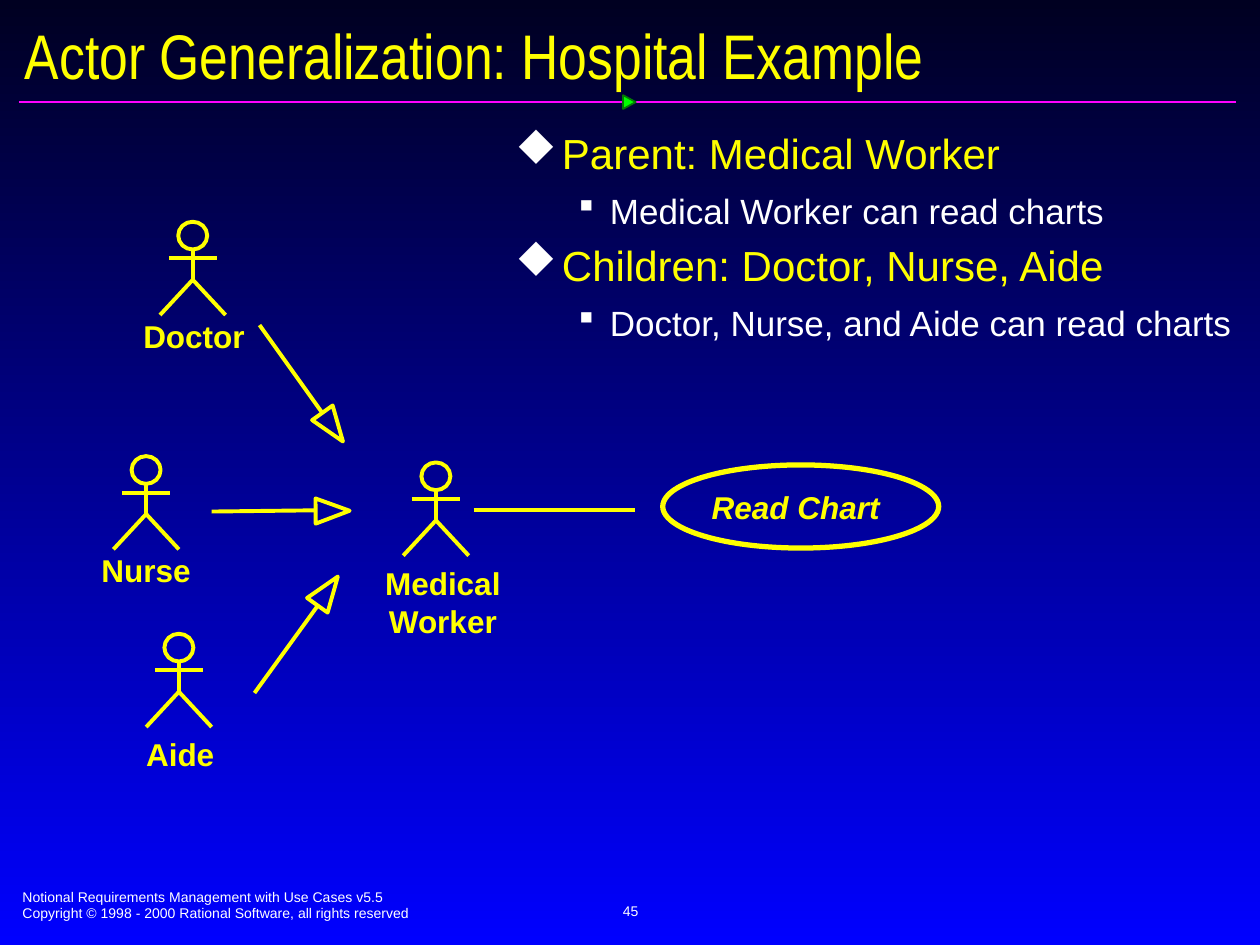
import math
from lxml import etree
from pptx import Presentation
from pptx.dml.color import RGBColor
from pptx.enum.shapes import MSO_CONNECTOR, MSO_SHAPE
from pptx.enum.text import MSO_ANCHOR, PP_ALIGN
from pptx.oxml.ns import qn
from pptx.util import Inches, Pt

STRAIGHT = MSO_CONNECTOR.STRAIGHT
TRIANGLE, ELLIPSE = MSO_SHAPE.ISOSCELES_TRIANGLE, MSO_SHAPE.OVAL
TOP, MIDDLE = MSO_ANCHOR.TOP, MSO_ANCHOR.MIDDLE
LEFT, CENTER = PP_ALIGN.LEFT, PP_ALIGN.CENTER

COLORS = {
    "night": "000021",
    "blue": "0000FF",
    "yellow": "FFFF00",
    "white": "FFFFFF",
    "magenta": "FF01FF",
    "green": "00FF00",
    "dark_green": "037C03",
}


def rgb(name):
    return RGBColor.from_string(COLORS[name])


class Diagram:
    font = "Arial"
    bullet_font = "Wingdings"
    color = "yellow"
    stroke = 2.25

    def __init__(self, slide):
        self.s = slide

    def background(self, start, end):
        fill = self.s.background.fill
        fill.gradient()
        fill.gradient_angle = 270
        for stop, position, name in zip(fill.gradient_stops, (0, 1), (start, end)):
            stop.position = position
            stop.color.rgb = rgb(name)

    def frame(self, x, y, w, h, inset=(0.12, 0.06), anchor=TOP, wrap=True):
        tf = self.s.shapes.add_textbox(Inches(x), Inches(y), Inches(w), Inches(h)).text_frame
        tf.margin_left = tf.margin_right = Inches(inset[0])
        tf.margin_top = tf.margin_bottom = Inches(inset[1])
        tf.vertical_anchor = anchor
        tf.word_wrap = wrap
        return tf

    def run(self, p, text, size, color=None, font=None, bold=False, italic=False):
        r = p.add_run()
        r.text = text
        r.font.size = Pt(size)
        r.font.name = font or self.font
        r.font.bold = bold
        r.font.italic = italic
        r.font.color.rgb = rgb(color or self.color)

    def text(self, box, lines, size, color=None, font=None, align=LEFT, anchor=TOP):
        tf = self.frame(*box, inset=(0.1, 0.05), anchor=anchor)
        for i, line in enumerate(lines):
            p = tf.add_paragraph() if i else tf.paragraphs[0]
            p.alignment = align
            self.run(p, line, size, color, font)

    def label(self, box, text, italic=False, wrap=False):
        p = self.frame(*box, inset=(0, 0.06), wrap=wrap).paragraphs[0]
        p.alignment = CENTER
        self.run(p, text, 18, bold=True, italic=italic)

    def bullets(self, box, items):
        styles = [
            (0.37, 0.37, 0.8, "u", 24, "yellow"),
            (0.75, 0.25, 0.87, "§", 20, "white"),
        ]
        tf = self.frame(*box)
        for i, (level, text) in enumerate(items):
            margin, hanging, spacing, mark, size, color = styles[level]
            p = tf.add_paragraph() if i else tf.paragraphs[0]
            p.level = level
            pPr = p._p.get_or_add_pPr()
            pPr.set("marL", str(Inches(margin)))
            pPr.set("indent", str(-Inches(hanging)))
            tint = etree.SubElement(pPr, qn("a:buClr"))
            etree.SubElement(tint, qn("a:srgbClr"), val=COLORS["white"])
            etree.SubElement(pPr, qn("a:buFont"), typeface=self.bullet_font, charset="2")
            etree.SubElement(pPr, qn("a:buChar"), char=mark)
            p.line_spacing = spacing
            p.space_before = Pt(5 if i else 0)
            p.space_after = Pt(5)
            self.run(p, text, size, color)

    def line(self, x1, y1, x2, y2, color=None, width=None):
        sp = self.s.shapes.add_connector(STRAIGHT, Inches(x1), Inches(y1), Inches(x2), Inches(y2))
        sp.line.color.rgb = rgb(color or self.color)
        sp.line.width = Pt(width or self.stroke)
        etree.SubElement(sp._element.spPr, qn("a:effectLst"))

    def finish(self, sp, fill=None, color=None, width=None):
        if fill:
            sp.fill.solid()
            sp.fill.fore_color.rgb = rgb(fill)
        else:
            sp.fill.background()
        sp.line.color.rgb = rgb(color or self.color)
        sp.line.width = Pt(width or self.stroke)
        sp.shadow.inherit = False

    def shape(self, kind, x, y, w, h, rotation=0, **style):
        sp = self.s.shapes.add_shape(kind, Inches(x), Inches(y), Inches(w), Inches(h))
        sp.rotation = rotation
        self.finish(sp, **style)

    def outline(self, points, close=False):
        points = [(Inches(x), Inches(y)) for x, y in points]
        builder = self.s.shapes.build_freeform(*points[0])
        builder.add_line_segments(points[1:], close=close)
        self.finish(builder.convert_to_shape())

    def actor(self, x, y):
        angles = [math.tau * i / 16 for i in range(16)]
        head = [(x + 0.115 * math.sin(a), y + 0.11 - 0.11 * math.cos(a)) for a in angles]
        self.outline(head, close=True)
        self.line(x - 0.19, y + 0.29, x + 0.19, y + 0.29)
        self.line(x, y + 0.23, x, y + 0.47)
        self.outline([(x - 0.26, y + 0.74), (x, y + 0.46), (x + 0.26, y + 0.74)])

    def generalization(self, tail, head, rotation):
        self.line(*tail)
        self.shape(TRIANGLE, *head, rotation=rotation)


def main():
    prs = Presentation()
    prs.slide_width, prs.slide_height = Inches(10), Inches(7.5)
    d = Diagram(prs.slides.add_slide(prs.slide_layouts[6]))
    d.background("night", "blue")

    d.text((0.08, 7, 5.1, 0.37), [
        "Notional Requirements Management with Use Cases v5.5",
        "Copyright © 1998 - 2000 Rational Software, all rights reserved",
    ], 8, "white")
    d.text((3.42, 6.98, 3.17, 0.5), ["45"], 8, "white", align=CENTER, anchor=MIDDLE)

    d.line(0.15, 0.81, 9.81, 0.81, "magenta", 1)
    d.shape(TRIANGLE, 4.94, 0.76, 0.11, 0.1, 90, fill="green", color="dark_green", width=1)
    d.text((0.1, 0.14, 9.84, 0.58), ["Actor Generalization: Hospital Example"], 36,
           font="Arial Narrow", anchor=MIDDLE)

    d.bullets((3.97, 1.03, 5.95, 2.47), [
        (0, "Parent: Medical Worker"),
        (1, "Medical Worker can read charts"),
        (0, "Children: Doctor, Nurse, Aide"),
        (1, "Doctor, Nurse, and Aide can read charts"),
    ])

    d.generalization((1.68, 4.06, 2.51, 4.05), (2.54, 3.92, 0.2, 0.27), 89.5)
    d.generalization((2.02, 5.5, 2.52, 4.81), (2.5, 4.55, 0.2, 0.28), 35.5)
    d.generalization((2.06, 2.58, 2.56, 3.28), (2.54, 3.25, 0.2, 0.28), 144.4)

    d.shape(ELLIPSE, 5.26, 3.69, 2.19, 0.66, width=3)
    d.label((5.53, 3.81, 1.57, 0.42), "Read Chart", italic=True)
    d.line(3.76, 4.05, 5.04, 4.05)

    for x, y, name, box in [
        (1.16, 3.62, "Nurse", (0.64, 4.31, 1.04, 0.42)),
        (1.53, 1.76, "Doctor", (1.02, 2.46, 1.04, 0.42)),
        (1.42, 5.03, "Aide", (1.04, 5.77, 0.78, 0.42)),
        (3.46, 3.67, "Medical Worker", (2.86, 4.42, 1.31, 0.72)),
    ]:
        d.actor(x, y)
        d.label(box, name, wrap=" " in name)

    prs.save("out.pptx")


if __name__ == "__main__":
    main()
